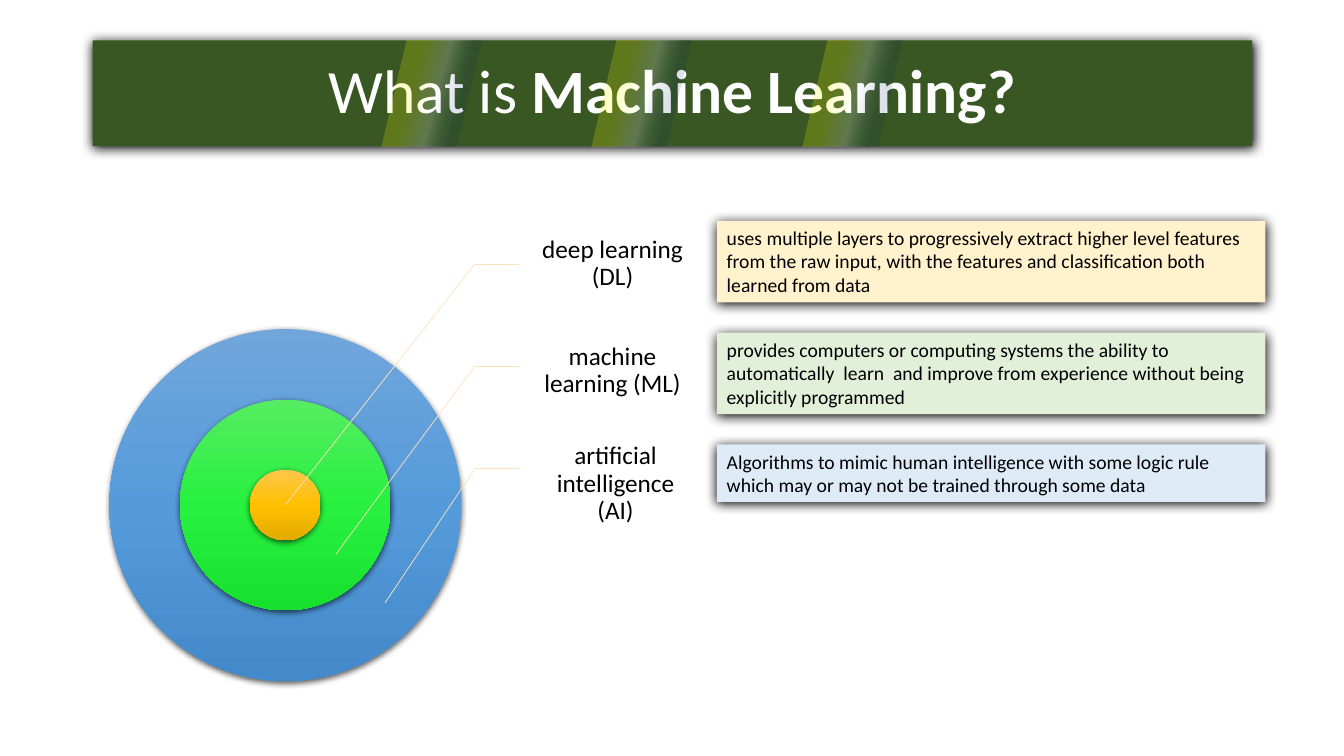
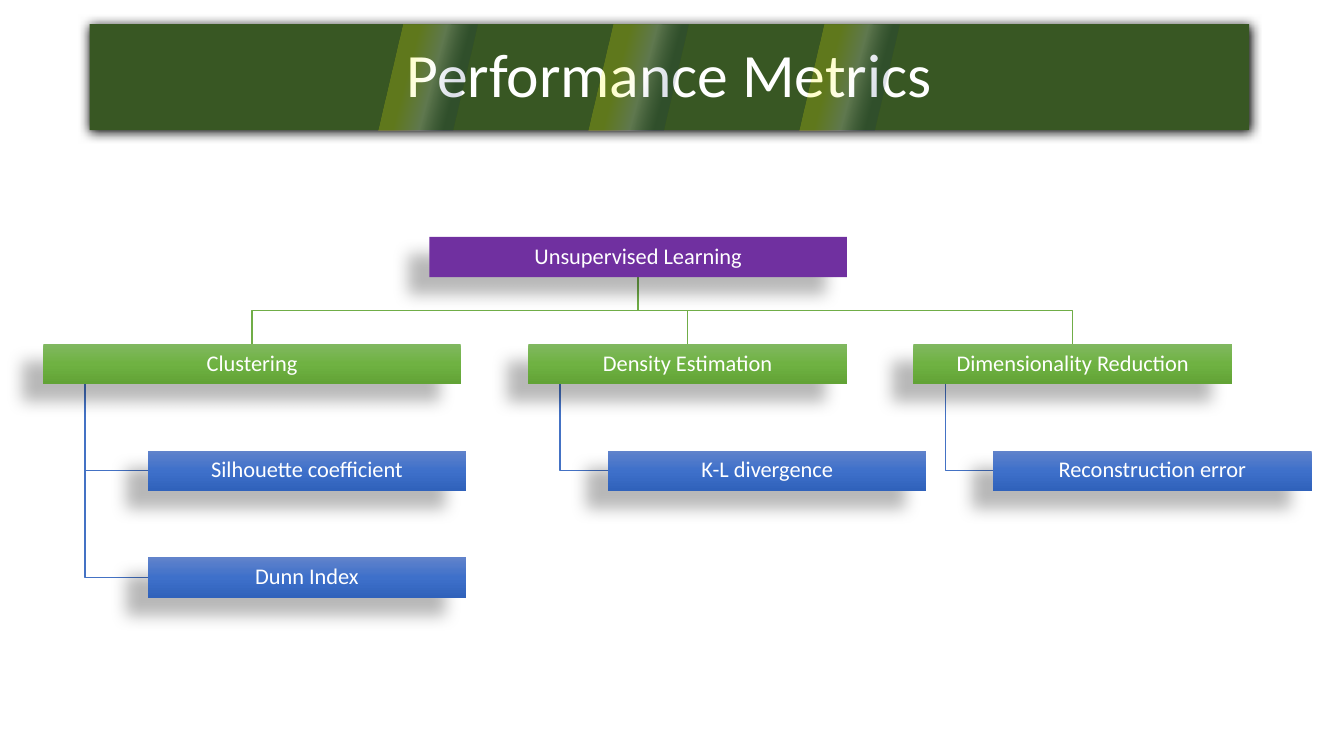
from dataclasses import dataclass
from typing import NamedTuple

from lxml import etree
from pptx import Presentation
from pptx.dml import color
from pptx.enum import shapes, text
from pptx.oxml import ns
from pptx.util import Inches, Pt


class Stop(NamedTuple):
    pos: int
    hue: str
    alpha: int = 100


class Grad(NamedTuple):
    angle: int
    stops: tuple[Stop, ...]


class Shade(NamedTuple):
    alpha: int
    blur: float
    dist: float
    angle: int


class Box(NamedTuple):
    left: float
    top: float
    width: float
    height: float


Paint = str | Grad


def fade(top: str, mid: str, low: str) -> Grad:
    return Grad(90, (Stop(0, top), Stop(50, mid), Stop(100, low)))


@dataclass(frozen=True)
class Theme:
    font: str = "Calibri"
    title: int = 44
    label: int = 18
    node: int = 16
    note: int = 14
    white: str = "FFFFFF"
    black: str = "000000"
    band: str = "385723"
    leader: str = "FFE2BD"
    purple: str = "7030A0"
    cream: str = "FFF2CC"
    mint: str = "E2F0D9"
    sky: str = "DEEBF7"
    green_line: str = "70AD47"
    blue_line: str = "4472C4"
    stripe: Grad = Grad(15, (Stop(33, "FFFF00", 20), Stop(54, "FFFFFF", 20),
                             Stop(73, "002060", 13)))
    azure: Grad = fade("71A6DB", "559BDB", "448ACA")
    lime: Grad = fade("56EC62", "27F13E", "18E02F")
    gold: Grad = fade("FFC64B", "FFC000", "E3AB00")
    green: Grad = fade("81B861", "6FB242", "62A336")
    blue: Grad = fade("6183CB", "3E70CA", "3062BB")
    card: Shade = Shade(100, 8.5, 1, 90)
    disc: Shade = Shade(63, 4.5, 1.5, 90)
    cast: Shade = Shade(28, 11.8, 19.7, 141)


THEME = Theme()


@dataclass(frozen=True)
class Callout:
    """A label, the bend of its leader and the point that it marks."""
    words: str
    left: float
    top: float
    bend: float
    tip: tuple[float, float]


@dataclass(frozen=True)
class Note:
    words: str
    top: float
    height: float
    paint: str


@dataclass(frozen=True)
class Branch:
    name: str
    left: float
    width: float
    leaves: tuple[str, ...]


def rgb(hue: str) -> color.RGBColor:
    return color.RGBColor.from_string(hue)


def sub(parent, tag: str, **attrs):
    node = etree.SubElement(parent, ns.qn(tag))
    for key, value in attrs.items():
        node.set(key, str(value))
    return node


def tint(parent, hue: str, alpha: int) -> None:
    """Add a colour, see-through where alpha is below 100."""
    node = sub(parent, "a:srgbClr", val=hue)
    if alpha < 100:
        sub(node, "a:alpha", val=alpha * 1000)


def fill(shape, paint: Paint) -> None:
    if isinstance(paint, str):
        shape.fill.solid()
        shape.fill.fore_color.rgb = rgb(paint)
        return
    shape.fill.gradient()
    grad = shape._element.spPr.find(ns.qn("a:gradFill"))
    stops = grad.find(ns.qn("a:gsLst"))
    for old in list(stops):
        stops.remove(old)
    for stop in paint.stops:
        tint(sub(stops, "a:gs", pos=stop.pos * 1000), stop.hue, stop.alpha)
    grad.find(ns.qn("a:lin")).set("ang", str(paint.angle * 60000))


def draw(slide, kind, box: Box, paint: Paint, shade: Shade | None = None):
    shape = slide.shapes.add_shape(kind, *map(Inches, box))
    fill(shape, paint)
    shape.line.fill.background()
    shape.shadow.inherit = False
    if shade:
        effects = shape._element.spPr.find(ns.qn("a:effectLst"))
        outer = sub(effects, "a:outerShdw", blurRad=Pt(shade.blur),
                    dist=Pt(shade.dist), dir=shade.angle * 60000,
                    algn="ctr", rotWithShape=0)
        tint(outer, THEME.black, shade.alpha)
    return shape


def write(shape, runs: list[tuple[str, bool]], size: int, hue: str,
          align=text.PP_ALIGN.CENTER, anchor=text.MSO_ANCHOR.MIDDLE,
          space: float = 0.9, insets: tuple[float, ...] = (0.1, 0.05, 0.1, 0.05)) -> None:
    frame = shape.text_frame
    frame.word_wrap = True
    frame.vertical_anchor = anchor
    (frame.margin_left, frame.margin_top,
     frame.margin_right, frame.margin_bottom) = map(Inches, insets)
    para = frame.paragraphs[0]
    para.alignment = align
    para.line_spacing = space
    para.font.name = THEME.font
    para.font.size = Pt(size)
    para.font.color.rgb = rgb(hue)
    for words, bold in runs:
        run = para.add_run()
        run.text = words
        if bold:
            run.font.bold = True


def header(slide, left: float, top: float, runs: list[tuple[str, bool]]) -> None:
    """Draw the title band with its three slanted stripes."""
    band = draw(slide, shapes.MSO_SHAPE.RECTANGLE, Box(left, top, 11.5, 1.05),
                THEME.band, THEME.card)
    write(band, runs, THEME.title, THEME.white)
    for i in range(3):
        draw(slide, shapes.MSO_SHAPE.PARALLELOGRAM,
             Box(left + 2.86 + 2.09 * i, top, 0.99, 1.05), THEME.stripe)


def line(slide, start: tuple[float, float], end: tuple[float, float]):
    link = slide.shapes.add_connector(shapes.MSO_CONNECTOR.STRAIGHT,
                                      *map(Inches, (*start, *end)))
    link.line.color.rgb = rgb(THEME.leader)
    link.line.width = Pt(0.5)
    sub(link._element.spPr, "a:effectLst")
    return link


def bent(slide, points: list[tuple[float, float]], hue: str) -> None:
    """Draw an open line through the points."""
    first, *rest = [(Inches(x), Inches(y)) for x, y in points]
    pen = slide.shapes.build_freeform(*first)
    pen.add_line_segments(rest, close=False)
    shape = pen.convert_to_shape()
    shape.fill.background()
    shape.line.color.rgb = rgb(hue)
    shape.line.width = Pt(1)
    shape.shadow.inherit = False


def callout(slide, item: Callout) -> None:
    bend_x, edge, width, height = 4.71, 5.15, 1.74, 1.02
    label = slide.shapes.add_textbox(
        *map(Inches, (item.left, item.top, width, height)))
    write(label, [(item.words, False)], THEME.label, THEME.black,
          insets=(0.14, 0.03, 0.03, 0.03))
    bend = (bend_x, item.bend)
    arm = line(slide, bend, (edge, item.bend))
    if item.left == edge and abs(item.top + height / 2 - item.bend) < 0.01:
        arm.end_connect(label, 1)
    line(slide, bend, item.tip)


def learning(slide) -> None:
    header(slide, 0.92, 0.4, [("What is ", False), ("Machine Learning?", True)])
    mid_x, mid_y = 2.83, 5.01
    for size, paint in ((3.49, THEME.azure), (2.09, THEME.lime), (0.7, THEME.gold)):
        draw(slide, shapes.MSO_SHAPE.OVAL,
             Box(mid_x - size / 2, mid_y - size / 2, size, size), paint, THEME.disc)
    for item in (
        Callout("deep learning (DL)", 5.15, 2.11, 2.62, (mid_x, mid_y)),
        Callout("machine learning (ML)", 5.15, 3.17, 3.63, (3.33, 5.5)),
        Callout("artificial intelligence (AI)", 5.18, 4.29, 4.65, (3.82, 5.98)),
    ):
        callout(slide, item)
    for note in (
        Note("uses multiple layers to progressively extract higher level features "
             "from the raw input, with the features and classification both "
             "learned from data", 2.19, 0.81, THEME.cream),
        Note("provides computers or computing systems the ability to "
             "automatically  learn  and improve from experience without being "
             "explicitly programmed", 3.3, 0.81, THEME.mint),
        Note("Algorithms to mimic human intelligence with some logic rule which "
             "may or may not be trained through some data", 4.41, 0.57, THEME.sky),
    ):
        card = draw(slide, shapes.MSO_SHAPE.RECTANGLE,
                    Box(7.11, note.top, 5.44, note.height), note.paint, THEME.card)
        write(card, [(note.words, False)], THEME.note, THEME.black,
              text.PP_ALIGN.LEFT, text.MSO_ANCHOR.TOP, 1.0)


def metrics(slide) -> None:
    header(slide, 0.89, 0.24, [("Performance Metrics", False)])
    top, step, tall, wide, slim = 2.35, 1.06, 0.4, 4.14, 3.16
    root = Box(4.26, top, wide, tall)
    root_x = root.left + wide / 2
    nodes: list[tuple[str, Box, Paint]] = [("Unsupervised Learning", root, THEME.purple)]
    row = top + step
    fork = (top + tall + row) / 2
    for branch in (
        Branch("Clustering", 0.43, wide, ("Silhouette coefficient", "Dunn Index")),
        Branch("Density Estimation", 5.24, slim, ("K-L divergence",)),
        Branch("Dimensionality Reduction", 9.06, slim, ("Reconstruction error",)),
    ):
        mid = branch.left + branch.width / 2
        bent(slide, [(root_x, top + tall), (root_x, fork), (mid, fork), (mid, row)],
             THEME.green_line)
        nodes.append((branch.name, Box(branch.left, row, branch.width, tall), THEME.green))
        drop = branch.left + 0.1 * branch.width
        left = branch.left + 0.25 * branch.width
        for i, leaf in enumerate(branch.leaves, 1):
            leaf_y = row + step * i
            mid_y = leaf_y + tall / 2
            bent(slide, [(drop, row + tall), (drop, mid_y), (left, mid_y)],
                 THEME.blue_line)
            nodes.append((leaf, Box(left, leaf_y, slim, tall), THEME.blue))
    for name, box, paint in nodes:
        node = draw(slide, shapes.MSO_SHAPE.RECTANGLE, box, paint, THEME.cast)
        write(node, [(name, False)], THEME.node, THEME.white, insets=(0.01,) * 4)


def main() -> None:
    deck = Presentation()
    deck.slide_width, deck.slide_height = Inches(13.33), Inches(7.5)
    for build in (learning, metrics):
        build(deck.slides.add_slide(deck.slide_layouts[6]))
    deck.save("out.pptx")


if __name__ == "__main__":
    main()
